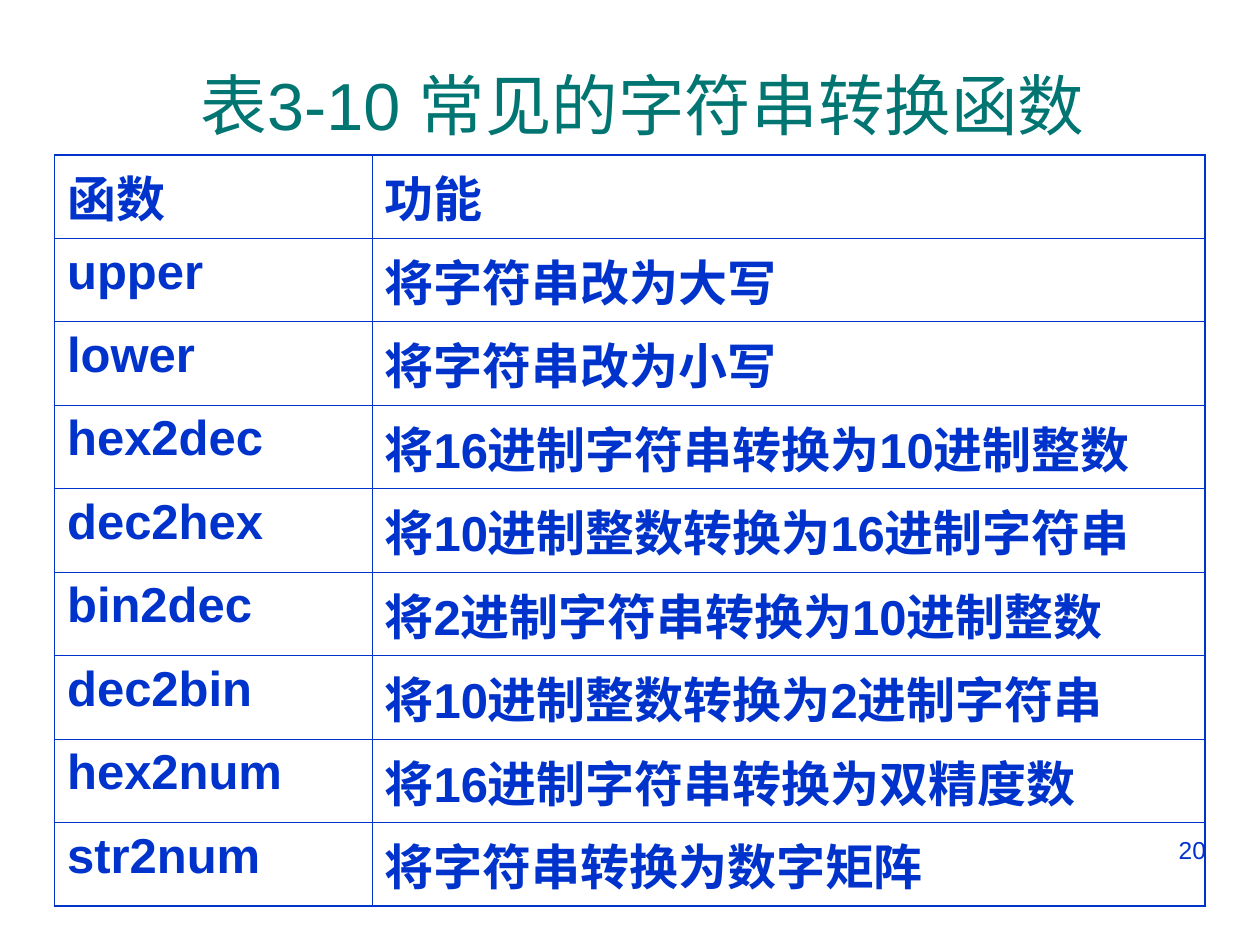
from lxml.etree import SubElement
from pptx import Presentation
from pptx.dml.color import RGBColor
from pptx.enum.text import MSO_ANCHOR as Anchor, PP_ALIGN as Align
from pptx.oxml.ns import qn
from pptx.util import Inches, Pt

SLIDE_WIDTH, SLIDE_HEIGHT = Inches(10), Inches(7.5)
# Places and lengths are percentages of the slide's width and height.
LEFT = 4.33
BLUE, GREEN = "0033CC", "007572"
THIN, THICK = 0.45, 1.08
COLUMN_SHARES = (25.2, 66.1)
ROW_SHARE = 8.83
PLAIN_TABLE_STYLE = "{2D5ABB26-0587-4C30-8999-92F81FD0307C}"
ROWS = [
    ("函数", "功能"),
    ("upper", "将字符串改为大写"),
    ("lower", "将字符串改为小写"),
    ("hex2dec", "将16进制字符串转换为10进制整数"),
    ("dec2hex", "将10进制整数转换为16进制字符串"),
    ("bin2dec", "将2进制字符串转换为10进制整数"),
    ("dec2bin", "将10进制整数转换为2进制字符串"),
    ("hex2num", "将16进制字符串转换为双精度数"),
    ("str2num", "将字符串转换为数字矩阵"),
]


def color(hex_string):
    return RGBColor.from_string(hex_string)


def across(percent):
    return round(percent / 100 * SLIDE_WIDTH)


def down(percent):
    return round(percent / 100 * SLIDE_HEIGHT)


def place(left, top, width, height):
    return across(left), down(top), across(width), down(height)


def add_run(paragraph, text, size, hex_string, bold=False):
    run = paragraph.add_run()
    run.text = text
    run.font.name = "Arial"
    run.font.size = Pt(size)
    run.font.bold = bold
    run.font.color.rgb = color(hex_string)


def add_text(slide, box, text, size, hex_string, align, anchor):
    frame = slide.shapes.add_textbox(*place(*box)).text_frame
    frame.word_wrap = True
    frame.vertical_anchor = anchor
    paragraph = frame.paragraphs[0]
    paragraph.alignment = align
    add_run(paragraph, text, size, hex_string)


def set_borders(cell, widths):
    """Draw the left, right, top and bottom borders, ahead of the cell's fill."""
    properties = cell._tc.get_or_add_tcPr()
    for index, (side, width) in enumerate(zip("LRTB", widths)):
        line = SubElement(properties, qn(f"a:ln{side}"), w=str(Pt(width)))
        fill = SubElement(line, qn("a:solidFill"))
        SubElement(fill, qn("a:srgbClr"), val=BLUE)
        properties.insert(index, line)


def add_function_table(slide):
    row_count, column_count = len(ROWS), len(COLUMN_SHARES)
    box = place(LEFT, 16.4, sum(COLUMN_SHARES), ROW_SHARE * row_count)
    table = slide.shapes.add_table(row_count, column_count, *box).table
    table.first_row = table.horz_banding = False
    table._tbl.tblPr.find(qn("a:tableStyleId")).text = PLAIN_TABLE_STYLE
    for column, share in zip(table.columns, COLUMN_SHARES):
        column.width = across(share)
    for row_index, texts in enumerate(ROWS):
        table.rows[row_index].height = down(ROW_SHARE)
        for column_index, text in enumerate(texts):
            cell = table.cell(row_index, column_index)
            cell.fill.background()
            outer_edges = (column_index == 0, column_index == column_count - 1,
                           row_index == 0, row_index == row_count - 1)
            set_borders(cell, [THICK if outer else THIN for outer in outer_edges])
            paragraph = cell.text_frame.paragraphs[0]
            paragraph.space_before = Pt(7)
            add_run(paragraph, text, 28, BLUE, bold=True)


def main():
    presentation = Presentation()
    presentation.slide_width, presentation.slide_height = SLIDE_WIDTH, SLIDE_HEIGHT
    slide = presentation.slides.add_slide(presentation.slide_layouts[6])
    add_text(slide, (4.3, 5.8, 93.4, 10.3), "表3-10 常见的字符串转换函数",
             38, GREEN, Align.CENTER, Anchor.MIDDLE)
    add_function_table(slide)
    add_text(slide, (71.7, 87.75, 25, 6.9), "20",
             14, BLUE, Align.RIGHT, Anchor.TOP)
    presentation.save("out.pptx")


if __name__ == "__main__":
    main()
